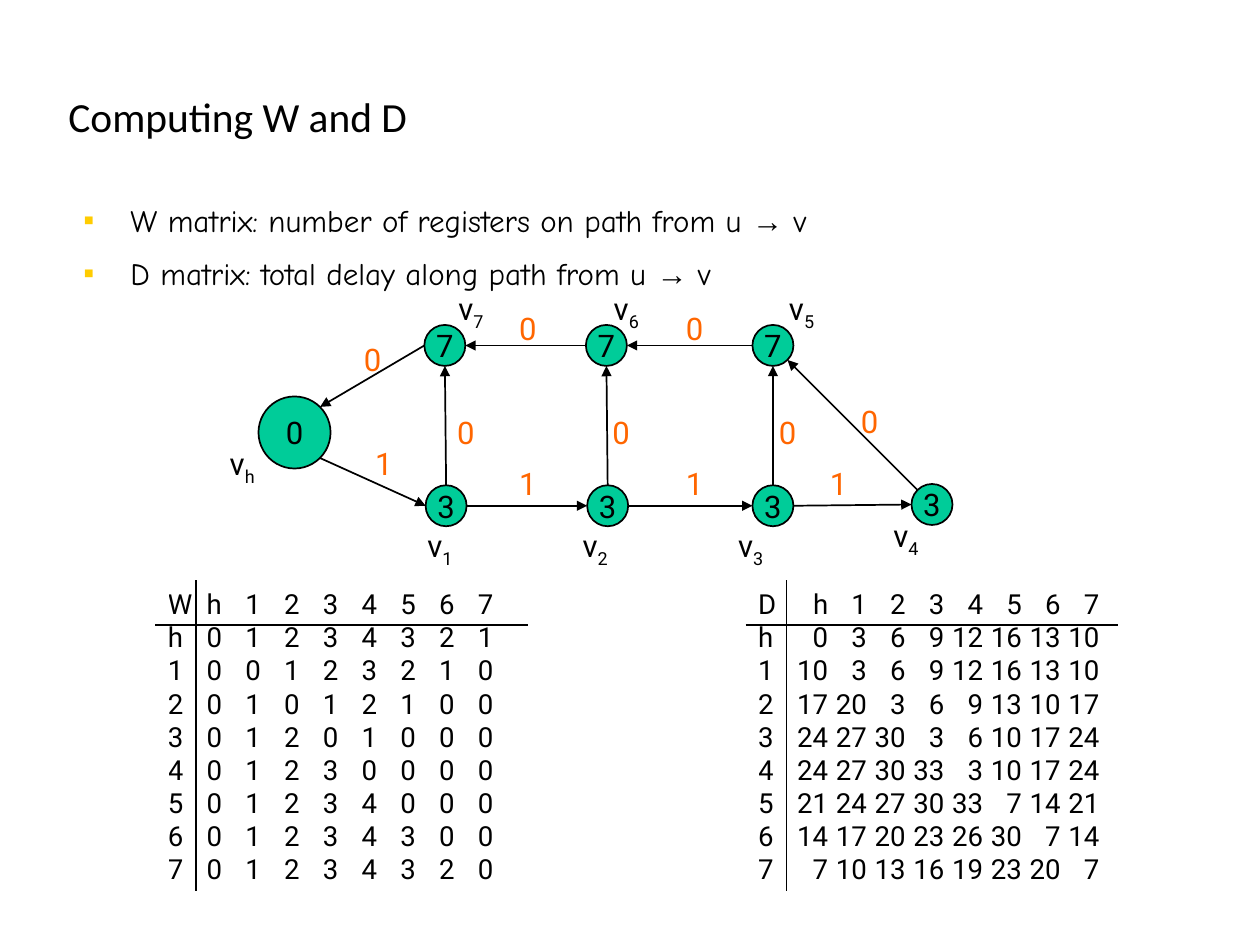
from lxml.etree import SubElement
from pptx import Presentation
from pptx.dml.color import RGBColor as Rgb
from pptx.enum.shapes import MSO_CONNECTOR as Connector, MSO_SHAPE as Shape
from pptx.enum.text import MSO_ANCHOR as Anchor, MSO_AUTO_SIZE as AutoSize, PP_ALIGN as Align
from pptx.oxml.ns import qn
from pptx.util import Inches, Pt

COLORS = {"ink": "000000", "node": "00CC99", "weight": "FF6600", "bullet": "FFCC00"}
CELL = Inches(0.1)


def grid(*counts):
    return [round(count * CELL) for count in counts]


def format_runs(para, size, font="Roboto", color="ink"):
    for span in para.runs:
        span.font.size = Pt(size)
        span.font.name = font
        span.font.color.rgb = Rgb.from_string(COLORS[color])


deck = Presentation()
deck.slide_width = Pt(730)
deck.slide_height = Pt(547.5)
page = deck.slides.add_slide(deck.slide_layouts[1])
shapes = page.shapes

title, body = page.placeholders
title.left, title.top, title.width, title.height = grid(4.5, 2.5, 86.2, 9.3)
title.text_frame.text = "Computing W and D"
title.text_frame.vertical_anchor = Anchor.BOTTOM
title.text_frame.auto_size = AutoSize.NONE
title.text_frame.paragraphs[0].alignment = Align.LEFT
format_runs(title.text_frame.paragraphs[0], 24, "Calibri")

body.left, body.top, body.width, body.height = grid(5.7, 15.7, 90.7, 49.4)
body.text_frame.auto_size = AutoSize.NONE
definitions = [
    "W matrix: number of registers on path from u ",
    "D matrix: total delay along path from u ",
]
for index, definition in enumerate(definitions):
    para = body.text_frame.paragraphs[0] if index == 0 else body.text_frame.add_paragraph()
    properties = para._p.get_or_add_pPr()
    properties.set("marL", str(Inches(0.38)))
    properties.set("indent", str(-Inches(0.38)))
    bullet_color = SubElement(properties, qn("a:buClr"))
    SubElement(bullet_color, qn("a:srgbClr"), val=COLORS["bullet"])
    SubElement(properties, qn("a:buFont"), typeface="Arial")
    SubElement(properties, qn("a:buChar"), char="▪")
    para.space_before = Pt(9 * index)
    for part in (definition, "→", " v"):
        para.add_run().text = part
    format_runs(para, 18, "Comic Neue")
    para.runs[1].font.name = "Arial"

matrices = [
    (13.5, Align.LEFT, """W h 1 2 3 4 5 6 7
h 0 1 2 3 4 3 2 1
1 0 0 1 2 3 2 1 0
2 0 1 0 1 2 1 0 0
3 0 1 2 0 1 0 0 0
4 0 1 2 3 0 0 0 0
5 0 1 2 3 4 0 0 0
6 0 1 2 3 4 3 0 0
7 0 1 2 3 4 3 2 0"""),
    (61, Align.RIGHT, """D h 1 2 3 4 5 6 7
h 0 3 6 9 12 16 13 10
1 10 3 6 9 12 16 13 10
2 17 20 3 6 9 13 10 17
3 24 27 30 3 6 10 17 24
4 24 27 30 33 3 10 17 24
5 21 24 27 30 33 7 14 21
6 14 17 20 23 26 30 7 14
7 7 10 13 16 19 23 20 7"""),
]
for left, alignment, values in matrices:
    rows = [line.split() for line in values.splitlines()]
    size = len(rows)
    matrix = shapes.add_table(size, size, *grid(left, 47.4, 3.12 * size, 2.67 * size)).table
    matrix.first_row = matrix.horz_banding = False
    for r, row in enumerate(rows):
        for c, value in enumerate(row):
            cell = matrix.cell(r, c)
            cell.fill.background()
            cell.margin_left = cell.margin_top = cell.margin_bottom = 0
            cell.margin_right = Inches(0.06) if c else 0
            cell.text_frame.text = value
            cell.text_frame.word_wrap = False
            para = cell.text_frame.paragraphs[0]
            para.alignment = alignment if c else Align.LEFT
            format_runs(para, 16)

nodes = {
    "h": (23.7, 34.8, 5.8, "0"),
    "1": (35.9, 40.7, 3.3, "3"),
    "2": (48.9, 40.7, 3.3, "3"),
    "3": (62.2, 40.7, 3.3, "3"),
    "4": (75, 40.6, 3.3, "3"),
    "5": (62.2, 27.8, 3.3, "7"),
    "6": (48.8, 27.8, 3.3, "7"),
    "7": (35.8, 27.8, 3.3, "7"),
}
for x, y, diameter, delay in nodes.values():
    circle = shapes.add_shape(
        Shape.OVAL, *grid(x - diameter / 2, y - diameter / 2, diameter, diameter))
    circle.shadow.inherit = False
    circle.fill.solid()
    circle.fill.fore_color.rgb = Rgb.from_string(COLORS["node"])
    circle.line.color.rgb = Rgb.from_string(COLORS["ink"])
    circle.line.width = Pt(1)
    frame = circle.text_frame
    frame.margin_left = frame.margin_right = frame.margin_top = frame.margin_bottom = 0
    frame.word_wrap = False
    frame.vertical_anchor = Anchor.MIDDLE
    frame.text = delay
    frame.paragraphs[0].alignment = Align.CENTER
    format_runs(frame.paragraphs[0], 18)

lines = [
    (63.3, 46.7, 63.3, 71.7, False),
    (15.8, 46.7, 15.8, 71.7, False),
    (60, 50.3, 90, 50.3, False),
    (12.5, 50.3, 42.5, 50.3, False),
]
sides = {
    "top": (0, -1), "bottom": (0, 1), "left": (-1, 0), "right": (1, 0),
    "top left": (-0.71, -0.71), "top right": (0.71, -0.71), "bottom right": (0.71, 0.71),
}
edges = [
    ("h", "bottom right", "1", "left"),
    ("1", "right", "2", "left"),
    ("2", "right", "3", "left"),
    ("3", "right", "4", "left"),
    ("4", "top left", "5", "bottom right"),
    ("5", "left", "6", "right"),
    ("6", "left", "7", "right"),
    ("7", "left", "h", "top right"),
    ("1", "top", "7", "bottom"),
    ("2", "top", "6", "bottom"),
    ("3", "top", "5", "bottom"),
]
for source, source_side, target, target_side in edges:
    ends = []
    for name, side in ((source, source_side), (target, target_side)):
        x, y, diameter, delay = nodes[name]
        ends += [x + sides[side][0] * diameter / 2, y + sides[side][1] * diameter / 2]
    lines.append((*ends, True))

for *ends, has_arrow in lines:
    connector = shapes.add_connector(Connector.STRAIGHT, *grid(*ends))
    connector.line.color.rgb = Rgb.from_string(COLORS["ink"])
    connector.line.width = Pt(1)
    if has_arrow:
        SubElement(connector.line._get_or_add_ln(), qn("a:tailEnd"), type="triangle")
    SubElement(connector._element.spPr, qn("a:effectLst"))

labels = [
    (40.8, 24.4, "0"), (54.2, 24.4, "0"), (28.3, 26.9, "0"), (68.3, 31.9, "0"),
    (35.8, 32.8, "0"), (48.3, 32.8, "0"), (61.7, 32.8, "0"),
    (29.2, 35.3, "1"), (40.8, 36.9, "1"), (54.2, 36.9, "1"), (65.8, 36.9, "1"),
    (17.5, 35.3, "vh"), (33.4, 41.9, "v1"), (45.9, 41.9, "v2"), (58.4, 41.9, "v3"),
    (70.9, 41.1, "v4"), (62.5, 22.8, "v5"), (48.4, 22.8, "v6"), (35.9, 22.8, "v7"),
]
for left, top, text in labels:
    is_name = text.startswith("v")
    box = shapes.add_textbox(*grid(left, top, *((4.1, 4.4) if is_name else (3.4, 4))))
    box.text_frame.word_wrap = False
    para = box.text_frame.paragraphs[0]
    for letter in text:
        para.add_run().text = letter
    format_runs(para, 18, color="ink" if is_name else "weight")
    for subscript in para.runs[1:]:
        subscript._r.get_or_add_rPr().set("baseline", "-25000")

deck.save("out.pptx")
